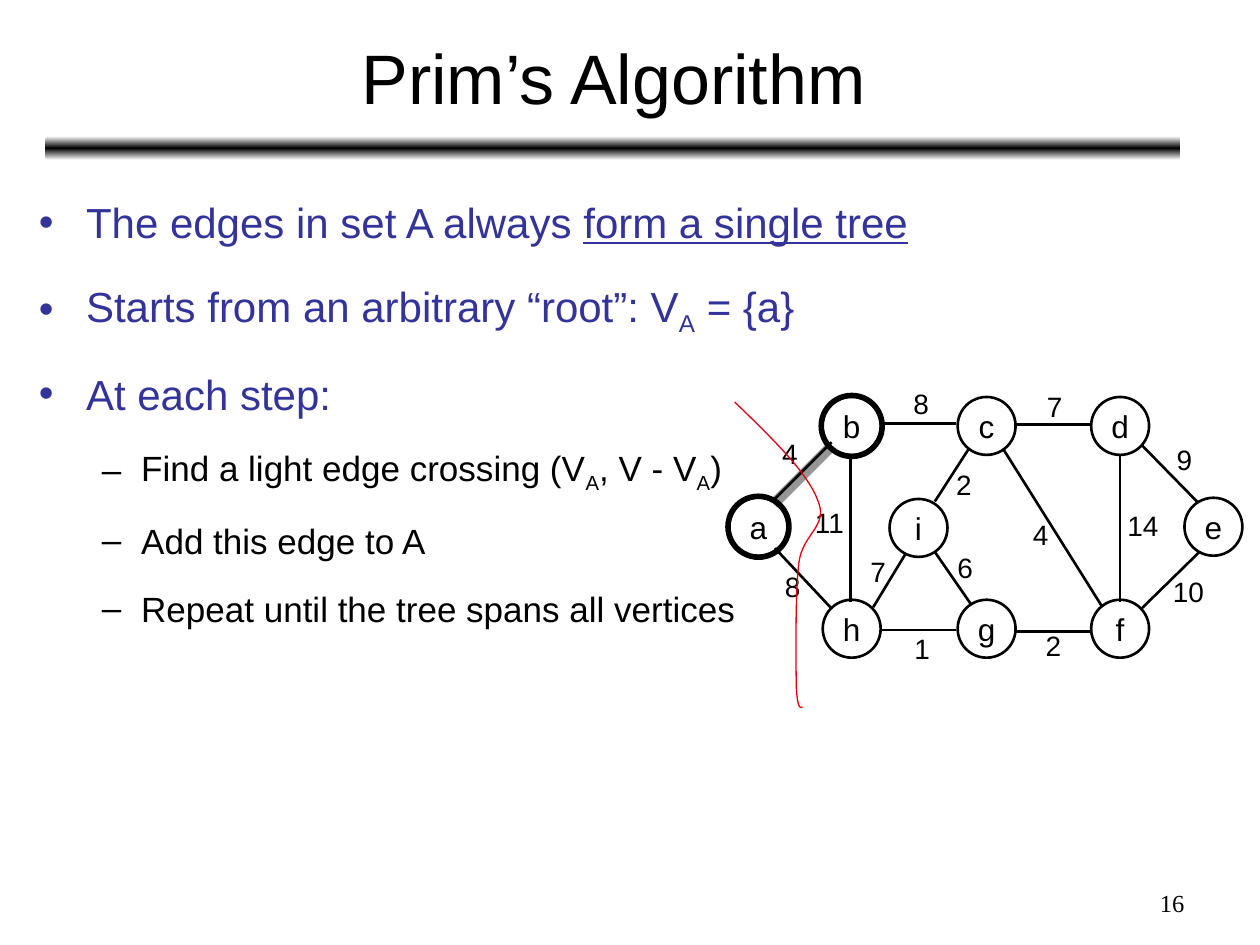
from copy import deepcopy

from lxml.etree import SubElement
from pptx import Presentation
from pptx.dml.color import RGBColor
from pptx.enum.shapes import MSO_CONNECTOR, MSO_SHAPE
from pptx.enum.text import MSO_ANCHOR as Anchor
from pptx.enum.text import MSO_AUTO_SIZE as AutoSize
from pptx.enum.text import PP_ALIGN as Align
from pptx.oxml.ns import qn
from pptx.util import Pt

COLORS = {
    "black": "000000",
    "white": "FFFFFF",
    "indigo": "333399",
    "gray": "969696",
    "red": "DD0111",
}
NODE_SIZE = 33.1
RING_SIZE = 35
SUBSCRIPT = {"baseline": -25000}

# Centre of each vertex
VERTICES = {
    "a": (433.4, 301), "b": (486.7, 243.4), "c": (563.8, 243.4),
    "d": (640.1, 243.4), "e": (693.4, 301), "h": (486.7, 359.3),
    "g": (563.8, 359.3), "f": (640.1, 359.3), "i": (524.9, 301.7),
}
# Start, end, weight, corner of the weight label
EDGES = [
    ((486, 259.9), (486, 344.2), "11", (458.6, 285.1)),
    ((640.1, 259.9), (640.1, 344.2), "14", (637.2, 287.3)),
    ((503.3, 241.9), (546.5, 241.9), "8", (514.8, 217.4)),
    ((579.6, 242.6), (622.8, 242.6), "7", (591.1, 218.9)),
    ((503.3, 360), (546.5, 360), "1", (515.5, 357.1)),
    ((580.3, 360.7), (624.2, 360.7), "2", (590.4, 355.7)),
    ((442.8, 285.1), (475.2, 252.7), "4", (439.9, 246.2)),
    ((652.3, 347.8), (685.4, 315.4), "10", (663.1, 324.7)),
    ((652.3, 254.2), (684.7, 287.3), "9", (665.3, 249.1)),
    ((442.8, 313.2), (474.5, 347), "8", (441.4, 321.8)),
    ((573.1, 256.3), (630, 347), "4", (583.2, 292.3)),
    ((534.2, 315.4), (555.1, 345.6), "6", (540, 311)),
    ((499, 347), (517.7, 316.1), "7", (490.3, 313.2)),
    ((534.2, 286.6), (553.7, 256.3), "2", (539.3, 263.5)),
]
# Start point, then two control points and an end point per curve
CUT = [
    (419.8, 229.7),
    (440.6, 249.8), (461.5, 270), (467.3, 285.8),
    (473.8, 301), (458.6, 304.6), (456.5, 321.8),
    (454.3, 339.8), (455, 378), (455, 391.7),
    (455.8, 405.4), (457.2, 404.6), (458.6, 403.9),
]
# Level, then runs of text with their format
BULLETS = [
    (0, [("The edges in set A always ", {}), ("form a single tree", {"underline": True})]),
    (0, [("Starts from an arbitrary “root”: V", {}), ("A", SUBSCRIPT), (" = {a}", {})]),
    (0, [("At each step:", {})]),
    (1, [("Find a light edge crossing (V", {}), ("A", SUBSCRIPT), (", V - V", {}),
         ("A", SUBSCRIPT), (")", {})]),
    (1, [("Add this edge to A", {})]),
    (1, [("Repeat until the tree spans all vertices", {})]),
]
# Bullet, colour, size, margin, hanging indent, space before
LEVELS = [("•", "indigo", 24, 27, 27, 6), ("–", "black", 20, 58.5, 22.5, 5)]


def rgb(name):
    """Return the named colour."""
    return RGBColor.from_string(COLORS[name])


def write(paragraph, text, size=18, color="black", font="Arial", underline=None, baseline=None):
    """Append one formatted run to a paragraph."""
    run = paragraph.add_run()
    run.text = text
    run.font.size = Pt(size)
    run.font.name = font
    run.font.color.rgb = rgb(color)
    run.font.underline = underline
    if baseline:
        run.font._rPr.set("baseline", str(baseline))


def cubic_points(points, steps=16):
    """Return the points along a chain of cubic curves."""
    result = [points[0]]
    for first in range(0, len(points) - 1, 3):
        controls = points[first:first + 4]
        for step in range(1, steps + 1):
            t = step / steps
            weights = ((1 - t) ** 3, 3 * t * (1 - t) ** 2, 3 * t * t * (1 - t), t ** 3)
            result.append(tuple(
                sum(weight * point[axis] for weight, point in zip(weights, controls))
                for axis in (0, 1)))
    return result


class SlideBuilder:
    """Draws styled elements on one slide, in points."""

    def __init__(self, slide):
        """Keep the slide to draw on."""
        self.slide = slide
        self.shapes = slide.shapes

    def text_box(self, left, top, width, height, text="", wrap=True, align=Align.LEFT,
                 anchor=Anchor.TOP, **style):
        """Add a text box and return its frame."""
        frame = self.shapes.add_textbox(Pt(left), Pt(top), Pt(width), Pt(height)).text_frame
        frame.word_wrap = wrap
        frame.vertical_anchor = anchor
        frame.auto_size = AutoSize.NONE if wrap else AutoSize.SHAPE_TO_FIT_TEXT
        frame.paragraphs[0].alignment = align
        if text:
            write(frame.paragraphs[0], text, **style)
        return frame

    def bullets(self, frame, items):
        """Fill a frame with bulleted paragraphs."""
        for index, (level, runs) in enumerate(items):
            bullet, color, size, margin, hanging, before = LEVELS[level]
            paragraph = frame.add_paragraph() if index else frame.paragraphs[0]
            paragraph.level = level
            paragraph.line_spacing = 1.4
            paragraph.space_before = Pt(before)
            properties = paragraph._p.get_or_add_pPr()
            properties.set("marL", str(Pt(margin)))
            properties.set("indent", str(-Pt(hanging)))
            SubElement(SubElement(properties, qn("a:buClr")), qn("a:srgbClr"), val=COLORS[color])
            SubElement(properties, qn("a:buFont"), typeface="Arial")
            SubElement(properties, qn("a:buChar"), char=bullet)
            for text, style in runs:
                write(paragraph, text, size=size, color=color, **style)

    def circle(self, center, diameter, width, text=""):
        """Add an unfilled circle around a centre."""
        left, top = (Pt(value - diameter / 2) for value in center)
        shape = self.shapes.add_shape(MSO_SHAPE.OVAL, left, top, Pt(diameter), Pt(diameter))
        shape.shadow.inherit = False
        shape.fill.background()
        shape.line.color.rgb = rgb("black")
        shape.line.width = Pt(width)
        if text:
            frame = shape.text_frame
            frame.word_wrap = False
            frame.vertical_anchor = Anchor.MIDDLE
            frame.paragraphs[0].alignment = Align.CENTER
            write(frame.paragraphs[0], text)

    def line(self, start, end, color="black", width=1.5):
        """Add a straight line."""
        ends = [Pt(value) for value in (*start, *end)]
        connector = self.shapes.add_connector(MSO_CONNECTOR.STRAIGHT, *ends)
        connector.line.color.rgb = rgb(color)
        connector.line.width = Pt(width)
        SubElement(connector._element.spPr, qn("a:effectLst"))

    def curve(self, points, color, width):
        """Add an open, smooth outline."""
        start, *rest = [(Pt(x), Pt(y)) for x, y in cubic_points(points)]
        builder = self.shapes.build_freeform(*start)
        builder.add_line_segments(rest, close=False)
        shape = builder.convert_to_shape()
        shape.shadow.inherit = False
        shape.fill.background()
        shape.line.color.rgb = rgb(color)
        shape.line.width = Pt(width)

    def gradient_bar(self, left, top, width, height):
        """Add a rounded bar that is dark along its middle."""
        bar = self.shapes.add_shape(
            MSO_SHAPE.ROUNDED_RECTANGLE, Pt(left), Pt(top), Pt(width), Pt(height))
        bar.shadow.inherit = False
        bar.line.fill.background()
        bar.fill.gradient()
        bar.fill.gradient_angle = 90
        stop_list = bar._element.spPr.find(".//" + qn("a:gsLst"))
        stop_list.insert(1, deepcopy(stop_list[0]))
        stops = zip(bar.fill.gradient_stops, (0, 0.5, 1), ("white", "black", "white"))
        for stop, position, color in stops:
            stop.position = position
            stop.color.rgb = rgb(color)


def main():
    """Build and save the slide."""
    presentation = Presentation()
    presentation.slide_width, presentation.slide_height = Pt(720), Pt(540)
    builder = SlideBuilder(presentation.slides.add_slide(presentation.slide_layouts[6]))

    builder.gradient_bar(25.9, 77.8, 648.7, 13.7)
    builder.text_box(26.6, 7.9, 648, 71.3, "Prim’s Algorithm", size=40,
                     align=Align.CENTER, anchor=Anchor.MIDDLE)
    builder.bullets(builder.text_box(15.1, 97.2, 645.8, 399.6), BULLETS)

    builder.line((442.1, 288), (473.8, 256.3), color="gray", width=6)
    for name, center in VERTICES.items():
        builder.circle(center, NODE_SIZE, 1.5, name)
    for start, end, weight, (left, top) in EDGES:
        builder.line(start, end)
        width = 14.4 + 8.9 * len(weight)
        builder.text_box(left, top, width, 26.6, weight, wrap=False, size=16)
    for name in "ba":
        builder.circle(VERTICES[name], RING_SIZE, 3)
    builder.curve(CUT, "red", 0.74)

    builder.text_box(516.2, 504, 167.8, 25.2, "16", size=14, font="Times New Roman",
                     align=Align.RIGHT)
    presentation.save("out.pptx")


main()
